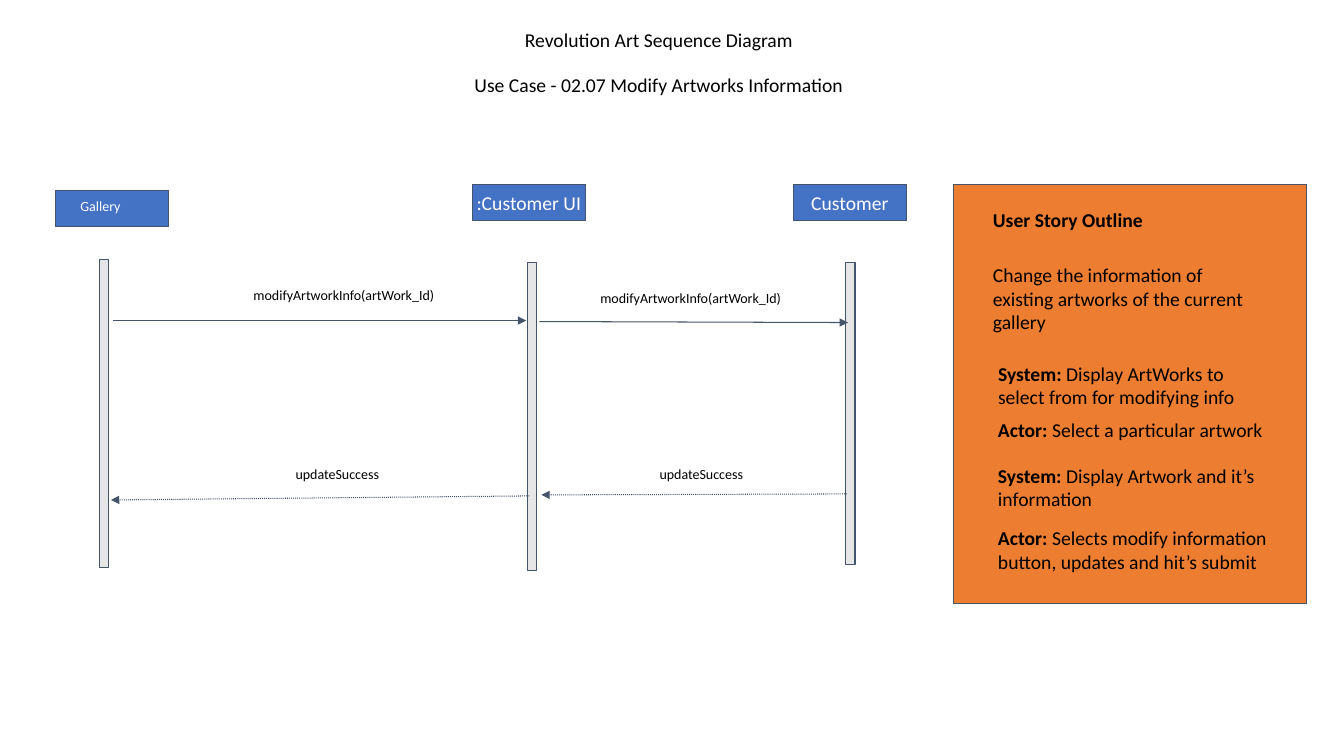
from lxml import etree
from pptx import Presentation
from pptx import util as u
from pptx.dml.color import RGBColor
from pptx.enum import dml, shapes, text
from pptx.oxml import ns

BLUE = RGBColor(0x44, 0x72, 0xC4)
SLATE = RGBColor(0x44, 0x54, 0x6A)
PALE = RGBColor(0xE7, 0xE6, 0xE6)
ORANGE = RGBColor(0xED, 0x7D, 0x31)
BLACK = RGBColor(0, 0, 0)
WHITE = RGBColor(0xFF, 0xFF, 0xFF)

CELL = u.Inches(0.5)  # width of a grid column and height of a grid row
LEFT, CENTER = text.PP_ALIGN.LEFT, text.PP_ALIGN.CENTER


class SequenceSlide:
    """Draws on one slide; all lengths are grid columns and rows."""
    font_name = "Calibri"
    line_width = u.Pt(0.75)
    frame_format = {
        "word_wrap": True,
        "auto_size": text.MSO_AUTO_SIZE.SHAPE_TO_FIT_TEXT,
        "vertical_anchor": text.MSO_ANCHOR.TOP,
        **{f"margin_{side}": u.Inches(0.1) for side in ("left", "top", "right", "bottom")},
    }

    def __init__(self, slide):
        self.shapes = slide.shapes

    @staticmethod
    def grid(*cells):
        return [round(cell * CELL) for cell in cells]

    def box(self, left, top, width, height, fill):
        rect = self.shapes.add_shape(shapes.MSO_SHAPE.RECTANGLE,
                                     *self.grid(left, top, width, height))
        rect.shadow.inherit = False
        rect.fill.solid()
        rect.fill.fore_color.rgb = fill
        rect.line.color.rgb = SLATE
        rect.line.width = self.line_width

    def label(self, left, top, width, height, words, lead="", size=14, color=BLACK, align=CENTER):
        frame = self.shapes.add_textbox(*self.grid(left, top, width, height)).text_frame
        for name, value in self.frame_format.items():
            setattr(frame, name, value)
        paragraph = frame.paragraphs[0]
        paragraph.alignment = align
        for content, bold in ((lead, True), (words, False)):
            if content:
                run = paragraph.add_run()
                run.text = content
                run_format = {"name": self.font_name, "size": u.Pt(size), "bold": bold}
                for name, value in run_format.items():
                    setattr(run.font, name, value)
                run.font.color.rgb = color

    def arrow(self, start, end, dotted=False):
        message = self.shapes.add_connector(shapes.MSO_CONNECTOR.STRAIGHT,
                                            *self.grid(*start, *end))
        message.line.color.rgb = SLATE
        message.line.width = self.line_width
        if dotted:
            message.line.dash_style = dml.MSO_LINE.ROUND_DOT
        etree.SubElement(message.line._get_or_add_ln(), ns.qn("a:tailEnd"), type="triangle")
        etree.SubElement(message._element.spPr, ns.qn("a:effectLst"))


def main():
    deck = Presentation()
    deck.slide_width, deck.slide_height = u.Inches(13.33), u.Inches(7.5)
    diagram = SequenceSlide(deck.slides.add_slide(deck.slide_layouts[6]))

    # Titles
    titles = ("Revolution Art Sequence Diagram", "Use Case - 02.07 Modify Artworks Information")
    for row, title in enumerate(titles):
        diagram.label(7.38, 0.36 + 0.88 * row, 11.38, 0.88, title)

    # Participants: header left and top, lifeline left, top and height
    participants = (
        (1.1, 3.78, 1.98, 5.14, 6.12),
        (9.38, 3.66, 10.46, 5.2, 6.12),
        (15.74, 3.66, 16.78, 5.2, 6),
    )
    for head_left, head_top, life_left, life_top, life_height in participants:
        diagram.box(head_left, head_top, 2.24, 0.72, BLUE)
        diagram.box(life_left, life_top, 0.18, life_height, PALE)
    diagram.label(1.4, 3.76, 1.66, 0.74, "Gallery", size=10, color=WHITE, align=LEFT)
    diagram.label(4.8, 3.58, 11.38, 0.88, ":Customer UI", color=WHITE)
    diagram.label(13.46, 3.58, 6.8, 0.88, "Customer", color=WHITE)

    # Requests and dotted replies between the lifelines
    request, reply = "modifyArtworkInfo(artWork_Id)", "updateSuccess"
    messages = (
        (request, 4.12, 5.52, 5.4, (2.24, 6.36), (10.44, 6.36)),
        (request, 11, 5.58, 5.4, (10.7, 6.38), (16.82, 6.4)),
        (reply, 12.08, 9.06, 3.66, (16.8, 9.8), (10.74, 9.82)),
        (reply, 4.86, 9.06, 3.66, (10.5, 9.84), (2.2, 9.92)),
    )
    for call, left, top, width, start, end in messages:
        diagram.arrow(start, end, dotted=call == reply)
        diagram.label(left, top, width, 0.74, call, size=10)

    # User story panel
    diagram.box(18.92, 3.66, 7, 8.32, ORANGE)
    story = (
        (19.5, 3.92, 6.12, 0.88, "User Story Outline", ""),
        (19.5, 5.02, 5.4, 1.82, "",
         "Change the information of existing artworks of the current gallery"),
        (19.6, 6.98, 5.78, 1.34, "System:", " Display ArtWorks to select from for modifying info"),
        (19.6, 8.1, 6.12, 0.88, "Actor: ", "Select a particular artwork"),
        (19.6, 9, 6.12, 1.34, "System: ", "Display Artwork and it’s information"),
        (19.6, 10.24, 6.12, 1.34, "Actor: ",
         "Selects modify information button, updates and hit’s submit"),
    )
    for left, top, width, height, lead, words in story:
        diagram.label(left, top, width, height, words, lead, align=LEFT)

    deck.save("out.pptx")


if __name__ == "__main__":
    main()
